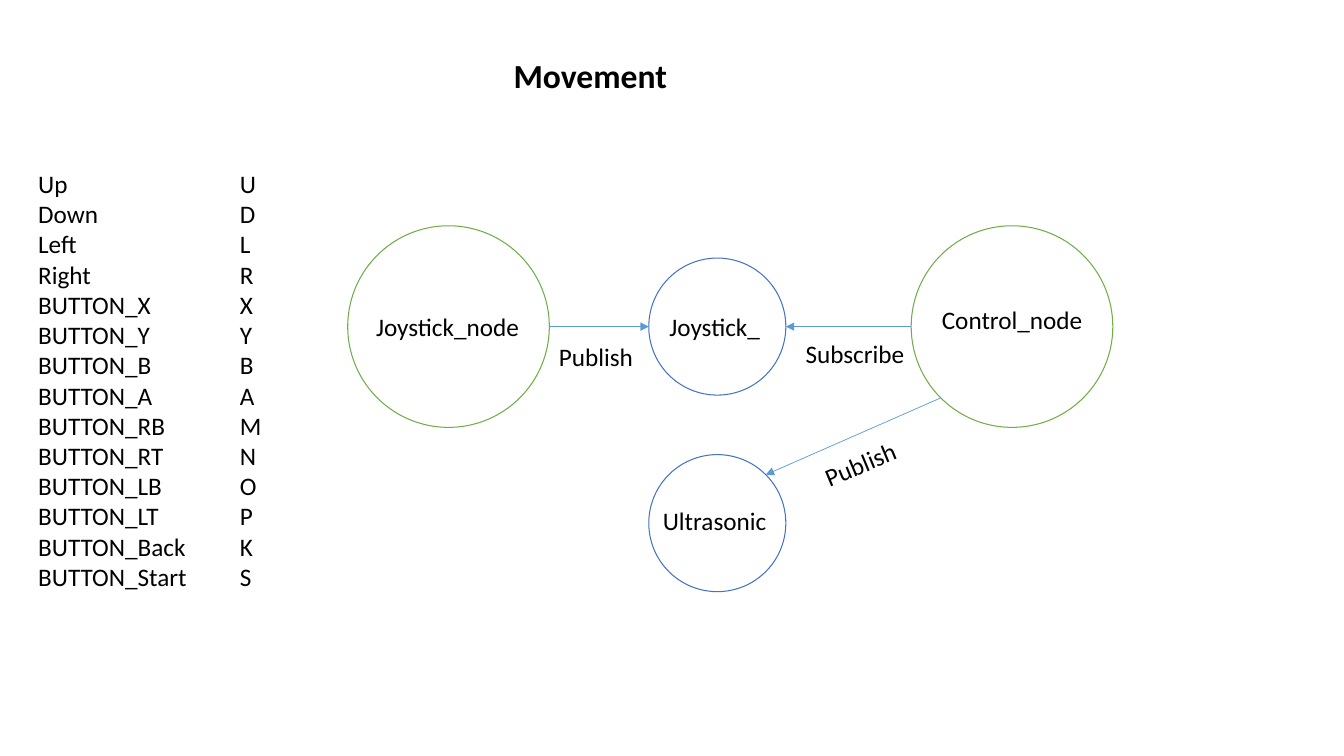
from dataclasses import dataclass
from math import cos, radians, sin

from lxml.etree import SubElement
from pptx import Presentation
from pptx.dml.color import RGBColor
from pptx.enum.shapes import MSO_CONNECTOR, MSO_SHAPE
from pptx.enum.text import MSO_AUTO_SIZE, PP_ALIGN
from pptx.oxml import parse_xml
from pptx.oxml.ns import nsdecls, qn
from pptx.slide import Slide
from pptx.util import Pt

GREEN, BLUE, LIGHT_BLUE, BLACK = "70AD47", "4472C4", "5B9BD5", "000000"
NODE_DIAMETER, TOPIC_DIAMETER = 144, 97.9
ROW_Y = 233.3
KEY_TAB = 144


@dataclass(frozen=True)
class Circle:
    center_x: float
    center_y: float
    diameter: float
    color: str

    def edge(self, degrees: float) -> tuple[float, float]:
        radius, angle = self.diameter / 2, radians(degrees)
        return self.center_x + radius * cos(angle), self.center_y + radius * sin(angle)


@dataclass(frozen=True)
class Arrow:
    start: tuple[float, float]
    end: tuple[float, float]


@dataclass(frozen=True)
class Label:
    lines: tuple[str, ...]
    left: float
    top: float
    width: float
    height: float = 29.1
    size: float = 18
    bold: bool = False
    rotation: float = 0
    alignment: PP_ALIGN = PP_ALIGN.CENTER
    tab: float | None = None


def rgb(color: str) -> RGBColor:
    return RGBColor.from_string(color)


def draw_circle(slide: Slide, circle: Circle) -> None:
    radius = circle.diameter / 2
    shape = slide.shapes.add_shape(
        MSO_SHAPE.OVAL, Pt(circle.center_x - radius), Pt(circle.center_y - radius),
        Pt(circle.diameter), Pt(circle.diameter))
    shape.shadow.inherit = False
    shape.fill.background()
    shape.line.color.rgb = rgb(circle.color)
    shape.line.width = Pt(0.75)


def draw_arrow(slide: Slide, arrow: Arrow) -> None:
    connector = slide.shapes.add_connector(
        MSO_CONNECTOR.STRAIGHT, *map(Pt, arrow.start + arrow.end))
    connector.line.color.rgb = rgb(LIGHT_BLUE)
    connector.line.width = Pt(0.5)
    properties = connector._element.spPr
    SubElement(properties.find(qn("a:ln")), qn("a:tailEnd"), type="triangle")
    SubElement(properties, qn("a:effectLst"))


def draw_label(slide: Slide, label: Label) -> None:
    box = slide.shapes.add_textbox(
        Pt(label.left), Pt(label.top), Pt(label.width), Pt(label.height))
    box.rotation = label.rotation
    frame = box.text_frame
    frame.word_wrap = True
    frame.auto_size = MSO_AUTO_SIZE.SHAPE_TO_FIT_TEXT
    frame.text = "\n".join(label.lines)
    for paragraph in frame.paragraphs:
        paragraph.alignment = label.alignment
        font = paragraph.font
        font.name = "Calibri"
        font.size = Pt(label.size)
        font.bold = label.bold
        font.color.rgb = rgb(BLACK)
        if label.tab is not None:
            tabs = parse_xml(
                f'<a:tabLst {nsdecls("a")}><a:tab pos="{Pt(label.tab)}" algn="l"/></a:tabLst>')
            paragraph._p.get_or_add_pPr().insert(0, tabs)


joystick_node = Circle(320.4, ROW_Y, NODE_DIAMETER, GREEN)
control_node = Circle(722.9, ROW_Y, NODE_DIAMETER, GREEN)
joystick_topic = Circle(512.4, ROW_Y, TOPIC_DIAMETER, BLUE)
ultrasonic_topic = Circle(512.4, 373.7, TOPIC_DIAMETER, BLUE)

ARROWS = (
    Arrow(joystick_node.edge(0), joystick_topic.edge(180)),
    Arrow(control_node.edge(180), joystick_topic.edge(0)),
    Arrow(control_node.edge(135), ultrasonic_topic.edge(-45)),
)

KEYS = {
    "Up": "U", "Down": "D", "Left": "L", "Right": "R",
    "BUTTON_X": "X", "BUTTON_Y": "Y", "BUTTON_B": "B", "BUTTON_A": "A",
    "BUTTON_RB": "M", "BUTTON_RT": "N", "BUTTON_LB": "O", "BUTTON_LT": "P",
    "BUTTON_Back": "K", "BUTTON_Start": "S",
}

LABELS = (
    Label(("Movement",), 344.2, 36, 154.8, height=36.4, size=24, bold=True),
    Label(("Joystick_node",), 256.3, 218.9, 126.7),
    Label(("Control_node",), 657.4, 213.8, 131),
    Label(("Joystick_",), 463, 218.9, 95),
    Label(("Ultrasonic",), 465.8, 357.1, 89.3),
    Label(("Publish ",), 381.6, 240.5, 92.2),
    Label(("Subscribe ",), 566.6, 238.3, 92.2),
    Label(("Publish ",), 570.2, 316.1, 92.2, rotation=337.5),
    Label(tuple(f"{name}\t{key}" for name, key in KEYS.items()),
          20.2, 116.6, 213.1, height=312.5, alignment=PP_ALIGN.LEFT, tab=KEY_TAB),
)

presentation = Presentation()
presentation.slide_width, presentation.slide_height = Pt(960), Pt(540)
slide = presentation.slides.add_slide(presentation.slide_layouts[6])
for circle in (joystick_node, control_node, joystick_topic, ultrasonic_topic):
    draw_circle(slide, circle)
for arrow in ARROWS:
    draw_arrow(slide, arrow)
for label in LABELS:
    draw_label(slide, label)
presentation.save("out.pptx")
